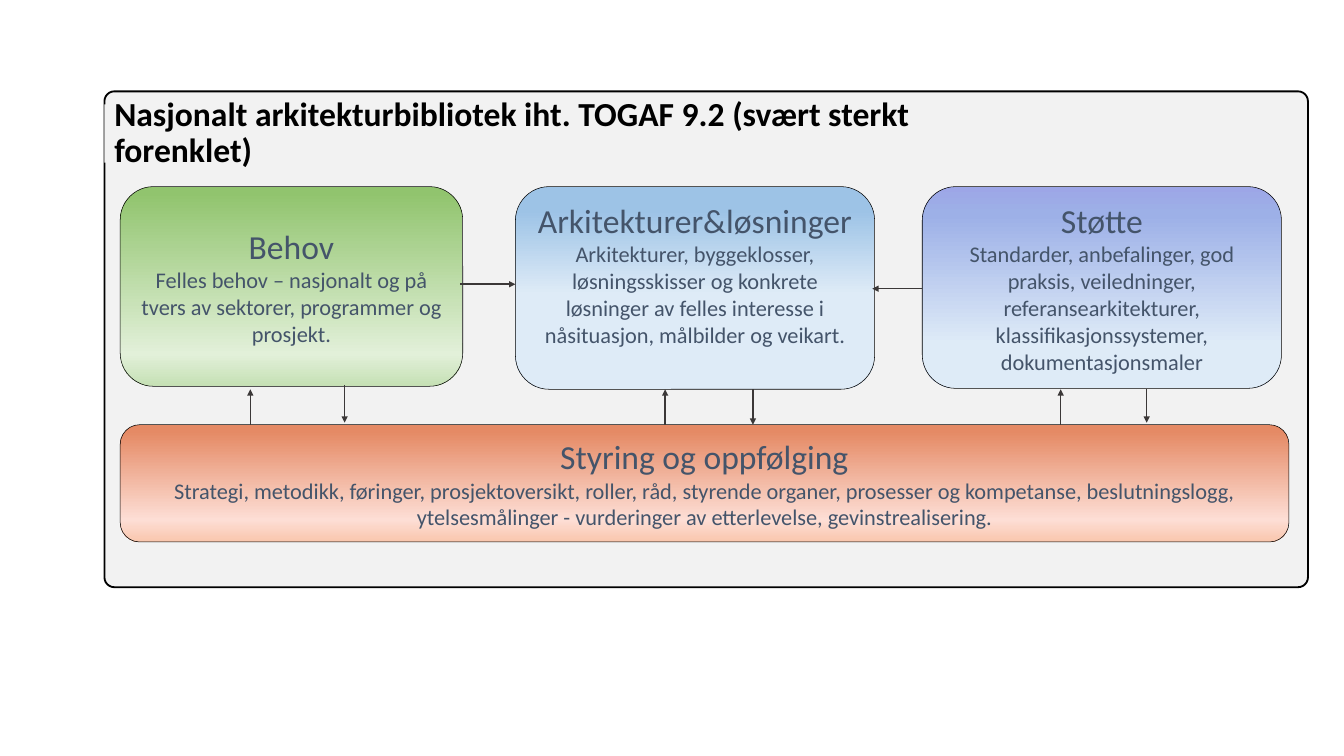
from typing import NamedTuple

import lxml.etree
import pptx
import pptx.dml.color
import pptx.enum.shapes
import pptx.enum.text
import pptx.oxml.ns
import pptx.util

Cm = pptx.util.Cm
Pt = pptx.util.Pt
RGBColor = pptx.dml.color.RGBColor
MSO_SHAPE = pptx.enum.shapes.MSO_SHAPE
MSO_ANCHOR = pptx.enum.text.MSO_ANCHOR
PP_ALIGN = pptx.enum.text.PP_ALIGN
qn = pptx.oxml.ns.qn

BLACK = RGBColor(0x00, 0x00, 0x00)
PANEL = RGBColor(0xF2, 0xF2, 0xF2)
SLATE = RGBColor(0x44, 0x54, 0x6A)
ARROW = RGBColor(0x3B, 0x38, 0x38)
PALE_BLUE = RGBColor(0xDE, 0xEB, 0xF7)
SKY = RGBColor(0x9D, 0xC3, 0xE6)
VIOLET = RGBColor(0x9D, 0xA6, 0xE7)
PERIWINKLE = RGBColor(0x9D, 0xB0, 0xE7)
GREEN = RGBColor(0x91, 0xC4, 0x6E)
PALE_GREEN = RGBColor(0xE2, 0xF0, 0xD9)
SOFT_GREEN = RGBColor(0xC5, 0xE0, 0xB4)
ORANGE = RGBColor(0xE5, 0x8A, 0x65)
PALE_ORANGE = RGBColor(0xFD, 0xDE, 0xD5)
SOFT_ORANGE = RGBColor(0xF9, 0xC6, 0xAD)

FONT = "Calibri"
CARD_TOP = 6.27
CARD_BOTTOM = 13.08
BASE_TOP = 14.27


class Stop(NamedTuple):
    percent: int
    color: RGBColor


class Card(NamedTuple):
    heading: str
    body: str
    left: float
    top: float
    width: float
    height: float
    stops: list[Stop]
    anchor: MSO_ANCHOR = MSO_ANCHOR.MIDDLE


class Arrow(NamedTuple):
    x1: float
    y1: float
    x2: float
    y2: float


CARDS = [
    Card("Støtte",
         "Standarder, anbefalinger, god praksis, veiledninger, referansearkitekturer, "
         "klassifikasjonssystemer, dokumentasjonsmaler",
         30.99, CARD_TOP, 12.07, 6.78,
         [Stop(0, VIOLET), Stop(14, PERIWINKLE), Stop(78, PALE_BLUE)]),
    Card("Arkitekturer&løsninger",
         "Arkitekturer, byggeklosser, løsningsskisser og konkrete løsninger av felles "
         "interesse i nåsituasjon, målbilder og veikart.",
         17.32, CARD_TOP, 12.07, 6.81,
         [Stop(0, SKY), Stop(12, SKY), Stop(53, PALE_BLUE)], MSO_ANCHOR.TOP),
    Card("Styring og oppfølging",
         "Strategi, metodikk, føringer, prosjektoversikt, roller, råd, styrende organer, "
         "prosesser og kompetanse, beslutningslogg, ytelsesmålinger - vurderinger av "
         "etterlevelse, gevinstrealisering.",
         4.04, BASE_TOP, 39.27, 3.94,
         [Stop(6, ORANGE), Stop(81, PALE_ORANGE), Stop(100, SOFT_ORANGE)]),
    Card("Behov",
         "Felles behov – nasjonalt og på tvers av sektorer, programmer og prosjekt.",
         4.04, CARD_TOP, 11.51, 6.71,
         [Stop(3, GREEN), Stop(84, PALE_GREEN), Stop(100, SOFT_GREEN)]),
]

ARROWS = [
    Arrow(15.47, 9.55, 17.32, 9.55),
    Arrow(30.99, 9.7, 29.31, 9.7),
    Arrow(11.58, 12.93, 11.58, 14.2),
    Arrow(25.3, CARD_BOTTOM, 25.3, BASE_TOP),
    Arrow(38.53, CARD_BOTTOM, 38.53, 14.2),
    *(Arrow(x, BASE_TOP, x, CARD_BOTTOM) for x in (8.41, 22.35, 35.64)),
]


def add_box(slide, kind: MSO_SHAPE, left: float, top: float, width: float, height: float):
    box = slide.shapes.add_shape(kind, Cm(left), Cm(top), Cm(width), Cm(height))
    box.shadow.inherit = False
    return box


def set_outline(shape, color: RGBColor, width: float) -> None:
    shape.line.color.rgb = color
    shape.line.width = Pt(width)


def set_gradient(shape, stops: list[Stop]) -> None:
    shape.fill.gradient()
    shape.fill.gradient_angle = 270
    stop_list = shape._element.spPr.find(f".//{qn('a:gsLst')}")
    for old in list(stop_list):
        stop_list.remove(old)
    for stop in stops:
        entry = lxml.etree.SubElement(stop_list, qn("a:gs"), pos=str(stop.percent * 1000))
        lxml.etree.SubElement(entry, qn("a:srgbClr"), val=str(stop.color))


def write(paragraph, text: str, size: float, color: RGBColor, align: PP_ALIGN) -> None:
    paragraph.text = text
    paragraph.alignment = align
    paragraph.font.name = FONT
    paragraph.font.size = Pt(size)
    paragraph.font.color.rgb = color


def add_frame(slide) -> None:
    frame = add_box(slide, MSO_SHAPE.ROUNDED_RECTANGLE, 3.51, 3.07, 40.44, 16.66)
    frame.adjustments[0] = 0.02
    frame.fill.solid()
    frame.fill.fore_color.rgb = PANEL
    set_outline(frame, BLACK, 1.75)


def add_title(slide) -> None:
    title = add_box(slide, MSO_SHAPE.RECTANGLE, 3.51, 3.51, 31.65, 1.96)
    title.fill.solid()
    title.fill.fore_color.rgb = PANEL
    title.line.fill.background()
    text = title.text_frame
    text.word_wrap = True
    text.vertical_anchor = MSO_ANCHOR.MIDDLE
    text.margin_left = text.margin_right = Cm(0.33)
    text.margin_top = text.margin_bottom = Cm(0.18)
    heading = text.paragraphs[0]
    write(heading, "Nasjonalt arkitekturbibliotek iht. TOGAF 9.2 (svært sterkt forenklet)",
          32, BLACK, PP_ALIGN.LEFT)
    heading.font.bold = True
    heading.line_spacing = 0.9


def add_card(slide, card: Card) -> None:
    box = add_box(slide, MSO_SHAPE.ROUNDED_RECTANGLE,
                  card.left, card.top, card.width, card.height)
    set_gradient(box, card.stops)
    set_outline(box, BLACK, 0.5)
    text = box.text_frame
    text.word_wrap = True
    text.vertical_anchor = card.anchor
    write(text.paragraphs[0], card.heading, 32, SLATE, PP_ALIGN.CENTER)
    write(text.add_paragraph(), card.body, 21.3, SLATE, PP_ALIGN.CENTER)


def add_arrow(slide, arrow: Arrow) -> None:
    connector = slide.shapes.add_connector(
        pptx.enum.shapes.MSO_CONNECTOR.STRAIGHT, *(Cm(value) for value in arrow))
    set_outline(connector, ARROW, 1.5)
    properties = connector._element.spPr
    lxml.etree.SubElement(properties.find(qn("a:ln")), qn("a:tailEnd"), type="triangle")
    lxml.etree.SubElement(properties, qn("a:effectLst"))


def main() -> None:
    """Build the slide of the national architecture library."""
    deck = pptx.Presentation()
    deck.slide_width = Cm(45.16)
    deck.slide_height = Cm(25.4)
    slide = deck.slides.add_slide(deck.slide_layouts[6])
    add_frame(slide)
    add_title(slide)
    for card in CARDS:
        add_card(slide, card)
    for arrow in ARROWS:
        add_arrow(slide, arrow)
    deck.save("out.pptx")


if __name__ == "__main__":
    main()
